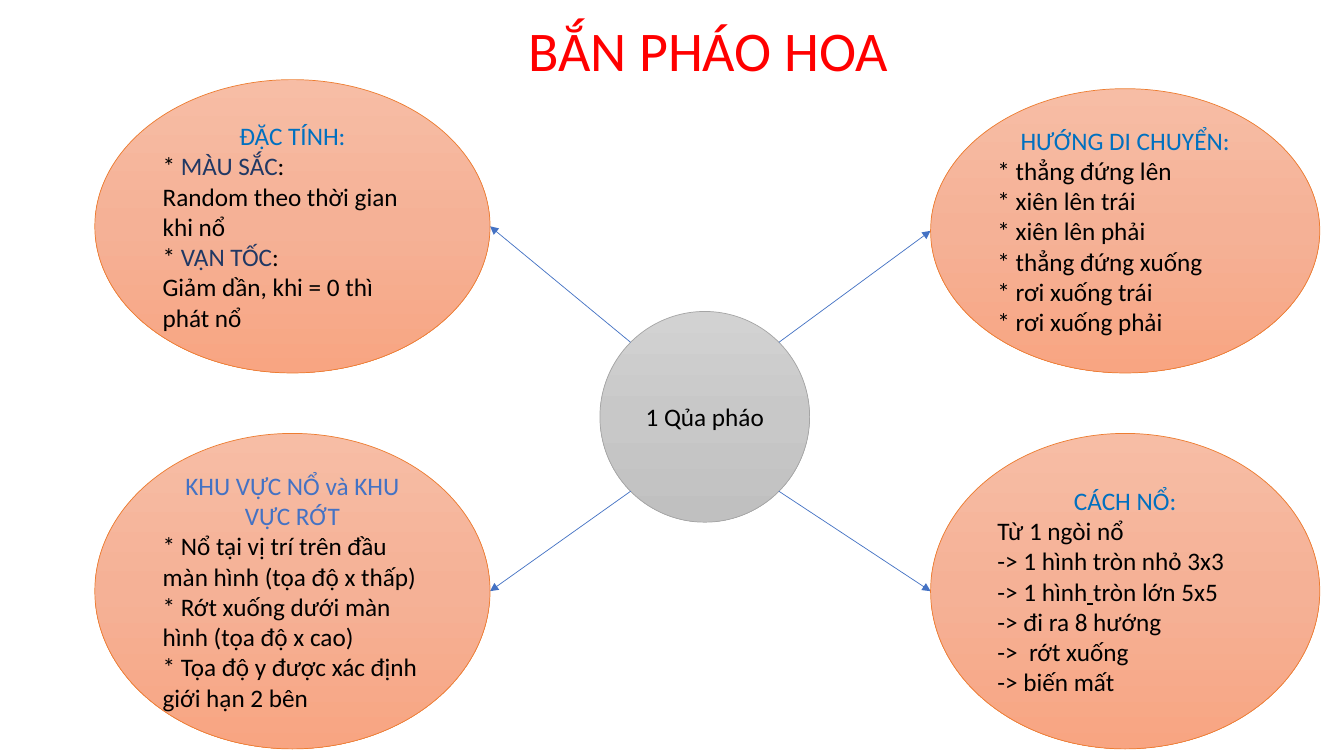
from copy import deepcopy
from dataclasses import dataclass
from math import sqrt

from pptx import Presentation
from pptx.dml.color import RGBColor as RGB
from pptx.enum.shapes import MSO_CONNECTOR as CONN, MSO_SHAPE as SHAPE
from pptx.enum.text import MSO_ANCHOR as ANCHOR, MSO_AUTO_SIZE as AUTO, PP_ALIGN as ALIGN
from pptx.oxml.ns import qn
from pptx.oxml.xmlchemy import OxmlElement
from pptx.util import Emu, Pt

SCALE = 9144  # EMU per px, 100 px to the inch


@dataclass(frozen=True)
class Theme:
    font: str = "Calibri"
    title_size: int = 40
    body_size: int = 18
    line_width: float = 0.5
    title: str = "FF0000"
    text: str = "000000"
    heading: str = "0070C0"
    blue: str = "4472C4"
    navy: str = "203864"
    orange: tuple = ("F7BDA5", "F5B196", "F8A582")
    orange_line: str = "ED7D31"
    gray: tuple = ("D2D2D2", "C8C8C8", "C0C0C0")
    gray_line: str = "A5A5A5"


T = Theme()

TITLE_BOX = (514, 11, 381, 77)
CENTRE_BOX = (595, 309, 208, 209)

# box, heading colour, heading, paragraphs; a paragraph is a list of (text, format) runs
TOPICS = [
    ((923, 88, 386, 282), T.heading, "HƯỚNG DI CHUYỂN:", [
        [("* thẳng đứng lên", {})],
        [("* xiên lên trái", {})],
        [("* xiên lên phải", {})],
        [("* thẳng đứng xuống", {})],
        [("* rơi xuống trái", {})],
        [("* rơi xuống phải", {})],
    ]),
    ((923, 430, 386, 313), T.heading, "CÁCH NỔ:", [
        [("Từ 1 ngòi nổ \n-> 1 hình tròn nhỏ 3x3 \n-> 1 hình", {}),
         (" ", {"underline": True}), ("tròn lớn 5x5", {})],
        [("-> đi ra 8 hướng", {})],
        [("->  rớt xuống", {})],
        [("-> biến mất", {})],
    ]),
    ((94, 79, 392, 291), T.heading, "ĐẶC TÍNH:", [
        [("* ", {}), ("MÀU SẮC", {"color": T.navy}), (":", {})],
        [("Random theo thời gian khi nổ", {})],
        [("* ", {}), ("VẬN TỐC", {"color": T.navy}), (":", {})],
        [("Giảm dần, khi = 0 thì phát nổ", {})],
    ]),
    ((94, 430, 392, 313), T.blue, "KHU VỰC NỔ và KHU VỰC RỚT", [
        [("* Nổ tại vị trí trên đầu màn hình (tọa độ x thấp)", {})],
        [("* Rớt xuống dưới màn hình (tọa độ x cao)", {})],
        [("* Tọa độ y được xác định giới hạn 2 bên", {})],
    ]),
]


def px(*lengths):
    return [Emu(round(n * SCALE)) for n in lengths]


def add_run(p, text, color=T.text, size=T.body_size, **formats):
    """Add text to p, turning each newline into a line break."""
    for i, line in enumerate(text.split("\n")):
        if i:
            p.add_line_break()
        r = p.add_run()
        r.text = line
        for name, value in {"name": T.font, "size": Pt(size), **formats}.items():
            setattr(r.font, name, value)
        r.font.color.rgb = RGB.from_string(color)


def fill_gradient(sp, colors):
    """Fill sp from top to bottom with three evenly spaced colours."""
    sp.fill.gradient()
    sp.fill.gradient_angle = 270
    first = sp._element.spPr.find(qn("a:gradFill")).find(qn("a:gsLst"))[0]
    first.addnext(deepcopy(first))
    for i, (stop, color) in enumerate(zip(sp.fill.gradient_stops, colors)):
        stop.position = i / 2
        stop.color.rgb = RGB.from_string(color)


def add_bubble(slide, box, colors, outline):
    """Add an ellipse and return its text frame."""
    sp = slide.shapes.add_shape(SHAPE.OVAL, *px(*box))
    sp.shadow.inherit = False
    fill_gradient(sp, colors)
    sp.line.color.rgb = RGB.from_string(outline)
    sp.line.width = Pt(T.line_width)
    tf = sp.text_frame
    for name, value in {"word_wrap": True, "vertical_anchor": ANCHOR.MIDDLE}.items():
        setattr(tf, name, value)
    tf.paragraphs[0].alignment = ALIGN.CENTER
    return tf


def add_title(slide, box):
    tf = slide.shapes.add_textbox(*px(*box)).text_frame
    for name, value in {"word_wrap": False, "auto_size": AUTO.SHAPE_TO_FIT_TEXT}.items():
        setattr(tf, name, value)
    add_run(tf.paragraphs[0], "BẮN PHÁO HOA", T.title, T.title_size)


def add_centre(slide, box):
    tf = add_bubble(slide, box, T.gray, T.gray_line)
    add_run(tf.paragraphs[0], "1 Qủa pháo")


def add_topic(slide, box, color, heading, paragraphs):
    tf = add_bubble(slide, box, T.orange, T.orange_line)
    add_run(tf.paragraphs[0], heading, color)
    for runs in paragraphs:
        p = tf.add_paragraph()
        p.alignment = ALIGN.LEFT
        for text, formats in runs:
            add_run(p, text, **formats)


def add_arrow(slide, centre, box):
    """Run an arrow from the centre's diagonal point to the facing side of box."""
    cx, cy, cw, ch = centre
    x, y, w, h = box
    mid_x, mid_y, end_y = cx + cw / 2, cy + ch / 2, y + h / 2
    right = 1 if x > mid_x else -1
    down = 1 if end_y > mid_y else -1
    reach = 1 / sqrt(8)
    start = mid_x + right * cw * reach, mid_y + down * ch * reach
    end = (x if right > 0 else x + w), end_y
    arrow = slide.shapes.add_connector(CONN.STRAIGHT, *px(*start, *end))
    arrow.line.color.rgb = RGB.from_string(T.blue)
    arrow.line.width = Pt(T.line_width)
    tail = OxmlElement("a:tailEnd")
    tail.set("type", "triangle")
    arrow.line._get_or_add_ln().append(tail)
    arrow._element.spPr.append(OxmlElement("a:effectLst"))


def main():
    prs = Presentation()
    prs.slide_width, prs.slide_height = px(1333, 750)
    slide = prs.slides.add_slide(prs.slide_layouts[6])
    add_centre(slide, CENTRE_BOX)
    add_title(slide, TITLE_BOX)
    for box, color, heading, paragraphs in TOPICS:
        add_arrow(slide, CENTRE_BOX, box)
        add_topic(slide, box, color, heading, paragraphs)
    prs.save("out.pptx")


if __name__ == "__main__":
    main()
